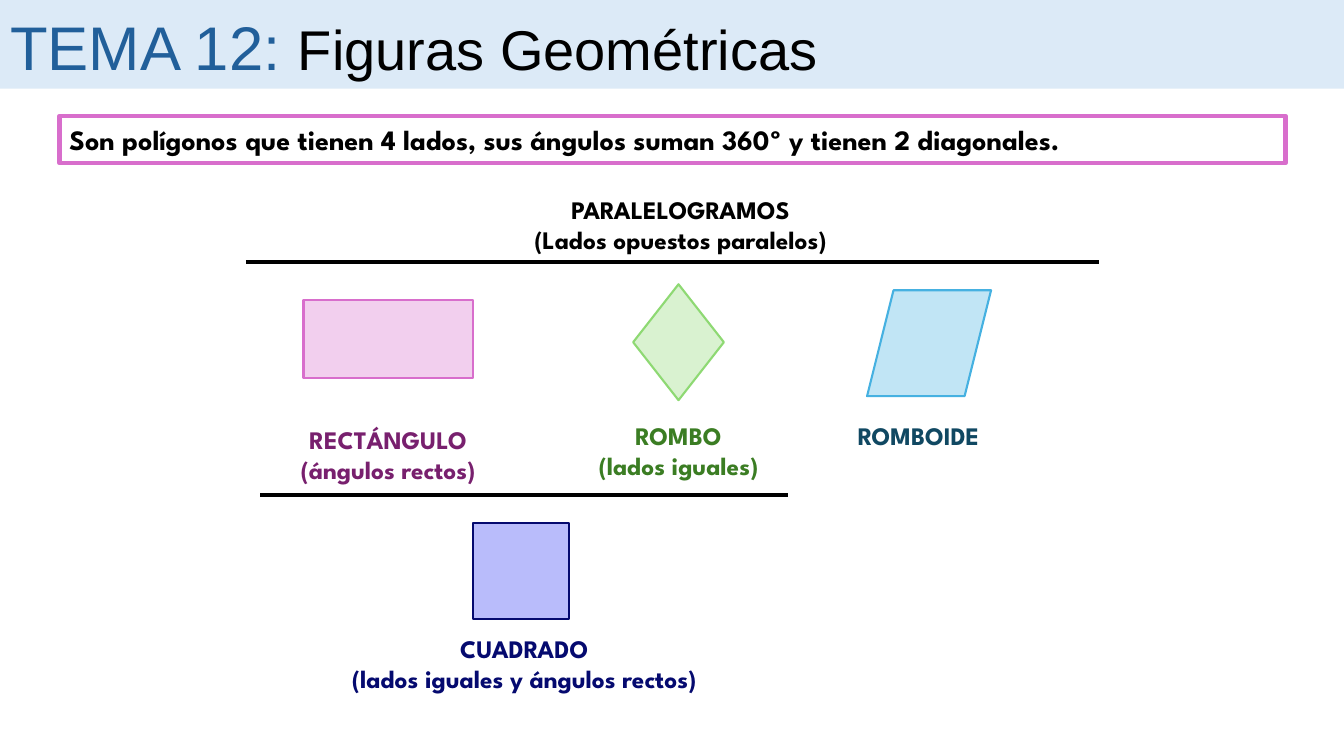
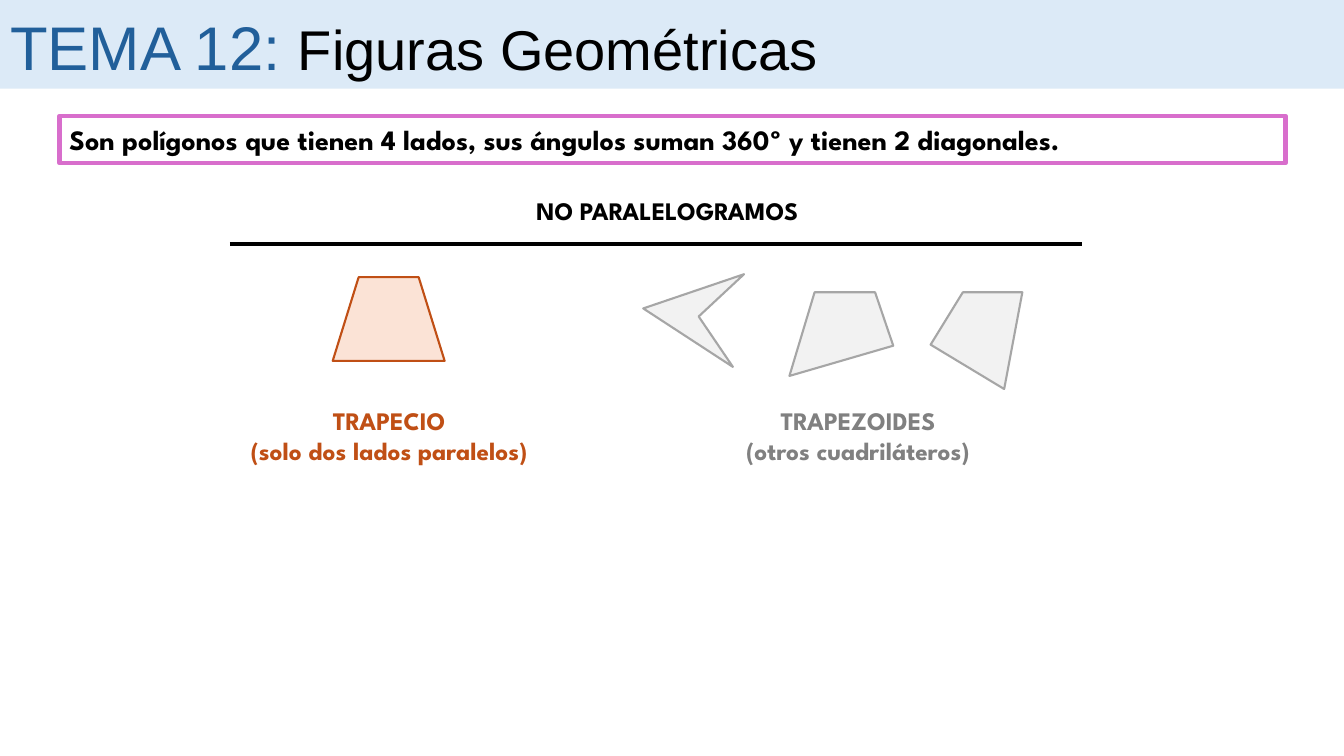
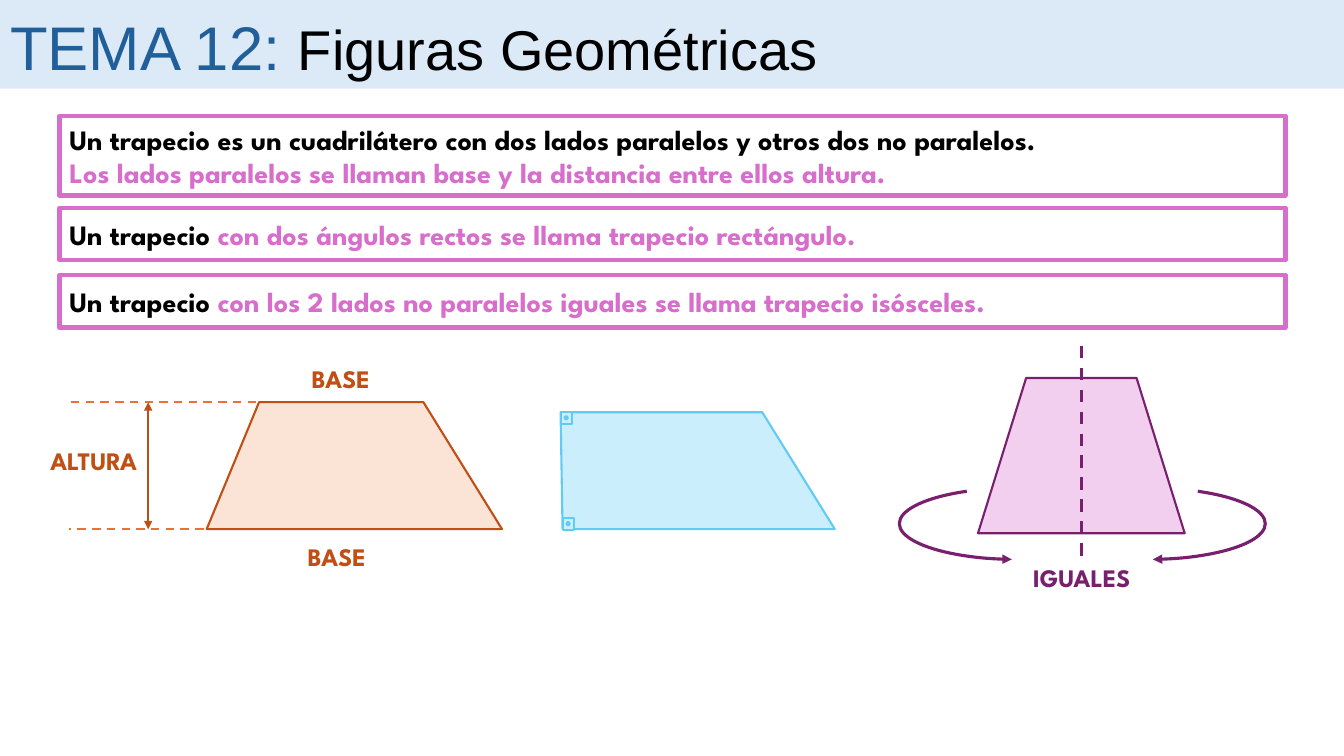
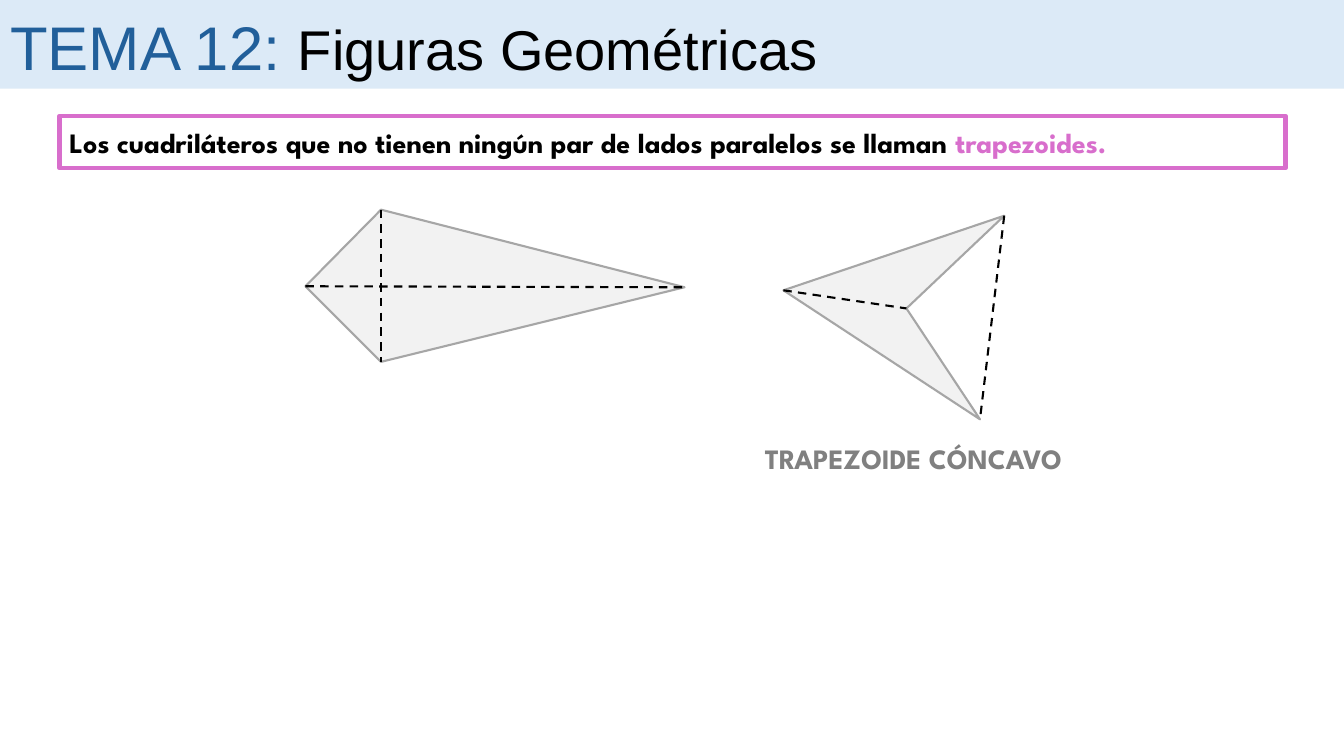
from dataclasses import dataclass

from lxml import etree
from pptx import Presentation
from pptx.dml.color import RGBColor
from pptx.enum import dml, shapes, text
from pptx.oxml.ns import qn
from pptx.util import Inches, Pt


@dataclass(frozen=True)
class Theme:
    title_font: str = "Arial"
    body_font: str = "League Spartan"
    topic_size: int = 44
    title_size: int = 40
    rule_size: int = 20
    label_size: int = 18
    thick: float = 3
    medium: float = 2.25
    thin: float = 1.5
    black: str = "000000"
    band: str = "DCEAF7"
    topic: str = "215F9A"
    pink: str = "D86ECC"
    pale_pink: str = "F2CFEE"
    purple: str = "78206E"
    green: str = "8ED973"
    pale_green: str = "D9F2D0"
    dark_green: str = "3B7D23"
    blue: str = "46B1E1"
    pale_blue: str = "C1E5F5"
    dark_blue: str = "104862"
    cyan: str = "61CBF4"
    pale_cyan: str = "CAEEFB"
    navy: str = "050A6F"
    lilac: str = "A7ABFB"
    rust: str = "C04F15"
    orange: str = "E97132"
    pale_orange: str = "FBE3D6"
    grey: str = "A6A6A6"
    pale_grey: str = "F2F2F2"
    dark_grey: str = "808080"


theme = Theme()


def style(item, line, width=theme.thin, fill=None, dashed=False, arrows=()):
    """Format a shape or connector; arrows lists the ends, "headEnd" or "tailEnd"."""
    if fill:
        item.fill.solid()
        item.fill.fore_color.rgb = RGBColor.from_string(fill)
    elif hasattr(item, "fill"):
        item.fill.background()
    if line:
        item.line.color.rgb = RGBColor.from_string(line)
        item.line.width = Pt(width)
    else:
        item.line.fill.background()
    if dashed:
        item.line.dash_style = dml.MSO_LINE.DASH
    properties = item.element.spPr
    for end in arrows:
        etree.SubElement(properties.find(qn("a:ln")), qn(f"a:{end}"), type="triangle")
    etree.SubElement(properties, qn("a:effectLst"))


def write(frame, lines, size, align):
    """Fill a text frame; each line is a list of (text, colour) spans."""
    frame.word_wrap = True
    for index, spans in enumerate(lines):
        para = frame.paragraphs[0] if index == 0 else frame.add_paragraph()
        para.alignment = align
        for words, colour in spans:
            span = para.add_run()
            span.text = words
            span.font.name = theme.body_font
            span.font.size = Pt(size)
            span.font.bold = True
            span.font.color.rgb = RGBColor.from_string(colour)


deck = Presentation()
deck.slide_width, deck.slide_height = Inches(13.33), Inches(7.5)

# Title band and framed rules: (top, height, lines)
quadrilateral = (1.15, 0.47, [[("Son polígonos que tienen 4 lados, sus ángulos suman 360º y tienen 2 diagonales.", theme.black)]])
page_rules = [
    [quadrilateral],
    [quadrilateral],
    [
        (1.15, 0.79, [
            [("Un trapecio es un cuadrilátero con dos lados paralelos y otros dos no paralelos.", theme.black)],
            [("Los lados paralelos se llaman base y la distancia entre ellos altura.", theme.pink)],
        ]),
        (2.06, 0.52, [[("Un trapecio ", theme.black),
                       ("con dos ángulos rectos se llama trapecio rectángulo.", theme.pink)]]),
        (2.73, 0.52, [[("Un trapecio ", theme.black),
                       ("con los 2 lados no paralelos iguales se llama trapecio isósceles.", theme.pink)]]),
    ],
    [
        (1.15, 0.52, [[("Los cuadriláteros que no tienen ningún par de lados paralelos se llaman ", theme.black),
                       ("trapezoides.", theme.pink)]]),
    ],
]
for rules in page_rules:
    page = deck.slides.add_slide(deck.slide_layouts[5])
    title = page.shapes.title
    title.left, title.top, title.width, title.height = 0, 0, deck.slide_width, Inches(0.88)
    title.fill.solid()
    title.fill.fore_color.rgb = RGBColor.from_string(theme.band)
    frame = title.text_frame
    frame.auto_size = text.MSO_AUTO_SIZE.NONE
    frame.vertical_anchor = text.MSO_ANCHOR.MIDDLE
    frame.margin_top, frame.margin_bottom = Inches(0.09), Inches(0.05)
    para = frame.paragraphs[0]
    para.alignment = text.PP_ALIGN.LEFT
    for words, size, colour in [("TEMA 12: ", theme.topic_size, theme.topic),
                                ("Figuras Geométricas", theme.title_size, theme.black)]:
        span = para.add_run()
        span.text = words
        span.font.name = theme.title_font
        span.font.size = Pt(size)
        span.font.color.rgb = RGBColor.from_string(colour)
    for top, height, lines in rules:
        box = page.shapes.add_shape(shapes.MSO_SHAPE.RECTANGLE, Inches(0.59), Inches(top), Inches(12.16), Inches(height))
        style(box, theme.pink, theme.thick)
        box.text_frame.vertical_anchor = text.MSO_ANCHOR.MIDDLE
        write(box.text_frame, lines, theme.rule_size, text.PP_ALIGN.LEFT)

parallelograms, others, trapeziums, trapezoids = deck.slides

# Irregular polygons: (page, fill, line, corners)
polygons = [
    (others, theme.pale_grey, theme.grey, [(7.38, 2.72), (6.93, 3.14), (7.27, 3.64), (6.38, 3.06)]),
    (others, theme.pale_grey, theme.grey, [(7.83, 3.73), (8.08, 2.9), (8.68, 2.9), (8.86, 3.43)]),
    (others, theme.pale_grey, theme.grey, [(9.23, 3.42), (9.55, 2.9), (10.14, 2.9), (9.96, 3.86)]),
    (trapeziums, theme.pale_orange, theme.rust, [(2.05, 5.25), (2.57, 3.99), (4.2, 3.99), (4.98, 5.25)]),
    (trapeziums, theme.pale_cyan, theme.cyan, [(5.58, 5.25), (5.56, 4.09), (7.56, 4.09), (8.28, 5.25)]),
    (trapezoids, theme.pale_grey, theme.grey, [(9.96, 2.14), (8.99, 3.06), (9.72, 4.16), (7.77, 2.88)]),
    (trapezoids, theme.pale_grey, theme.grey, [(3.03, 2.84), (3.78, 2.08), (6.79, 2.85), (3.78, 3.59)]),
]
for page, fill, line, corners in polygons:
    points = [(Inches(x), Inches(y)) for x, y in corners]
    outline = page.shapes.build_freeform(*points[0])
    outline.add_line_segments(points[1:], close=True)
    style(outline.convert_to_shape(), line, fill=fill)

# Regular figures: (page, preset, left, top, width, height, fill, line)
preset = shapes.MSO_SHAPE
figures = [
    (parallelograms, preset.RECTANGLE, 3.01, 2.98, 1.68, 0.77, theme.pale_pink, theme.pink),
    (parallelograms, preset.DIAMOND, 6.28, 2.82, 0.9, 1.15, theme.pale_green, theme.green),
    (parallelograms, preset.PARALLELOGRAM, 8.6, 2.88, 1.23, 1.05, theme.pale_blue, theme.blue),
    (parallelograms, preset.RECTANGLE, 4.69, 5.19, 0.95, 0.95, theme.lilac, theme.navy),
    (others, preset.TRAPEZOID, 3.3, 2.75, 1.11, 0.83, theme.pale_orange, theme.rust),
    (trapeziums, preset.TRAPEZOID, 9.7, 3.75, 2.05, 1.54, theme.pale_pink, theme.purple),
]
for left, top in [(5.58, 5.14), (5.56, 4.09)]:  # right-angle marks
    figures += [
        (trapeziums, preset.RECTANGLE, left, top, 0.11, 0.12, theme.pale_cyan, theme.cyan),
        (trapeziums, preset.OVAL, left + 0.03, top + 0.03, 0.05, 0.05, theme.cyan, None),
    ]
for page, kind, left, top, width, height, fill, line in figures:
    figure = page.shapes.add_shape(kind, Inches(left), Inches(top), Inches(width), Inches(height))
    style(figure, line, fill=fill)
    if kind == preset.TRAPEZOID:
        figure.adjustments[0] = 0.31
    if fill == theme.lilac:
        colour = figure.element.spPr.find(qn("a:solidFill"))[0]
        etree.SubElement(colour, qn("a:alpha"), val="79000")

# Straight lines: (page, start, end, colour, width, dashed, arrows)
straight_lines = [
    (parallelograms, (2.44, 2.6), (10.9, 2.6), theme.black, theme.thick, False, ()),
    (parallelograms, (2.58, 4.91), (7.82, 4.91), theme.black, theme.thick, False, ()),
    (others, (2.28, 2.42), (10.73, 2.42), theme.black, theme.thick, False, ()),
    (trapeziums, (2.02, 5.25), (0.68, 5.25), theme.orange, theme.thin, True, ()),
    (trapeziums, (2.54, 3.99), (0.68, 3.99), theme.orange, theme.thin, True, ()),
    (trapeziums, (1.47, 3.99), (1.47, 5.25), theme.rust, theme.thin, False, ("headEnd", "tailEnd")),
    (trapeziums, (10.73, 3.43), (10.73, 5.53), theme.purple, theme.medium, True, ()),
    (trapezoids, (3.03, 2.84), (6.79, 2.85), theme.black, theme.thin, True, ()),
    (trapezoids, (3.78, 2.08), (3.78, 3.59), theme.black, theme.thin, True, ()),
    (trapezoids, (7.77, 2.88), (8.99, 3.06), theme.black, theme.thin, True, ()),
    (trapezoids, (9.96, 2.14), (9.72, 4.16), theme.black, theme.thin, True, ()),
]
for page, start, end, colour, width, dashed, arrows in straight_lines:
    ends = [Inches(value) for value in (*start, *end)]
    connector = page.shapes.add_connector(shapes.MSO_CONNECTOR.STRAIGHT, *ends)
    style(connector, colour, width, dashed=dashed, arrows=arrows)

# Mirrored arrows around the isosceles trapezium
for left, mirrored in [(10.22, False), (8.92, True)]:
    arc = trapeziums.shapes.add_shape(preset.ARC, Inches(left), Inches(4.84), Inches(2.33), Inches(0.71))
    arc.adjustments[0], arc.adjustments[1] = 196.23, 49.23
    style(arc, theme.purple, theme.medium, arrows=["tailEnd"])
    if mirrored:
        arc.element.spPr.find(qn("a:xfrm")).set("flipH", "1")

# Labels: (page, centre, top, width, colour, size, lines)
labels = [
    (parallelograms, 6.75, 1.88, 4.04, theme.black, theme.label_size, ["PARALELOGRAMOS", "(Lados opuestos paralelos)"]),
    (parallelograms, 3.85, 4.16, 4.04, theme.purple, theme.label_size, ["RECTÁNGULO", "(ángulos rectos)"]),
    (parallelograms, 6.73, 4.12, 4.04, theme.dark_green, theme.label_size, ["ROMBO", "(lados iguales)"]),
    (parallelograms, 9.11, 4.12, 4.04, theme.dark_blue, theme.label_size, ["ROMBOIDE"]),
    (parallelograms, 5.2, 6.23, 4.51, theme.navy, theme.label_size, ["CUADRADO", "(lados iguales y ángulos rectos)"]),
    (others, 6.62, 1.89, 4.04, theme.black, theme.label_size, ["NO PARALELOGRAMOS"]),
    (others, 3.86, 3.97, 4.04, theme.rust, theme.label_size, ["TRAPECIO", "(solo dos lados paralelos)"]),
    (others, 8.51, 3.97, 4.04, theme.dark_grey, theme.label_size, ["TRAPEZOIDES", "(otros cuadriláteros)"]),
    (trapeziums, 3.38, 3.56, 2.18, theme.rust, theme.label_size, ["BASE"]),
    (trapeziums, 3.34, 5.32, 2.18, theme.rust, theme.label_size, ["BASE"]),
    (trapeziums, 0.93, 4.37, 1.5, theme.rust, theme.label_size, ["ALTURA"]),
    (trapeziums, 10.73, 5.53, 1.3, theme.purple, theme.label_size, ["IGUALES"]),
    (trapezoids, 9.06, 4.33, 3.23, theme.dark_grey, theme.rule_size, ["TRAPEZOIDE CÓNCAVO"]),
]
for page, centre, top, width, colour, size, lines in labels:
    height = 0.1 + 0.3 * len(lines)
    box = page.shapes.add_textbox(Inches(centre - width / 2), Inches(top), Inches(width), Inches(height))
    write(box.text_frame, [[(line, colour)] for line in lines], size, text.PP_ALIGN.CENTER)

deck.save("out.pptx")
